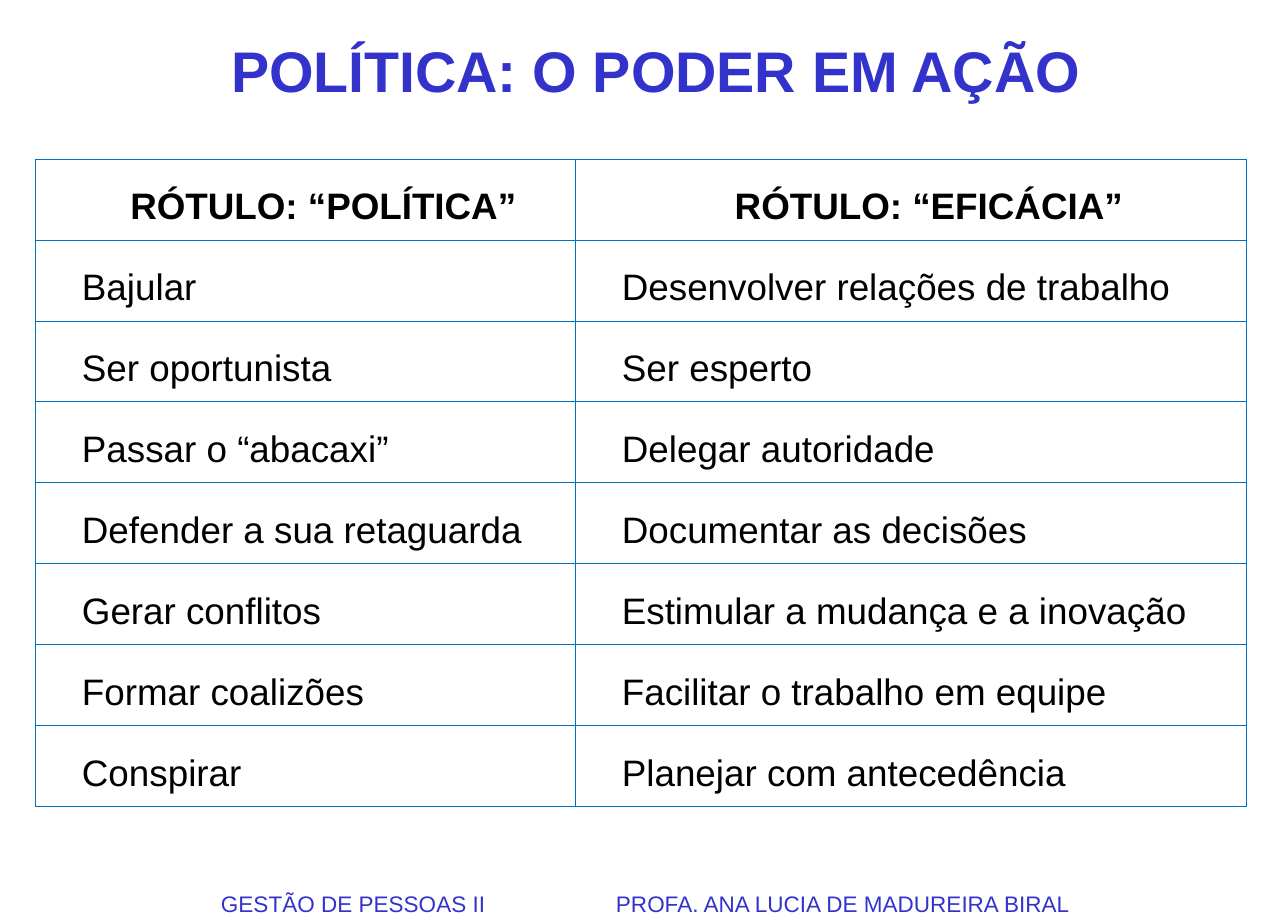
"""Build the slide that contrasts the labels "política" and "eficácia"."""
from lxml import etree
from pptx import Presentation
from pptx.dml.color import RGBColor
from pptx.enum.text import MSO_AUTO_SIZE, PP_ALIGN
from pptx.oxml.ns import qn
from pptx.util import Pt

TITLE = "POLÍTICA: O PODER EM AÇÃO"
LABELS = [
    ("RÓTULO: “POLÍTICA”", "RÓTULO: “EFICÁCIA”"),
    ("Bajular", "Desenvolver relações de trabalho"),
    ("Ser oportunista", "Ser esperto"),
    ("Passar o “abacaxi”", "Delegar autoridade"),
    ("Defender a sua retaguarda", "Documentar as decisões"),
    ("Gerar conflitos", "Estimular a mudança e a inovação"),
    ("Formar coalizões", "Facilitar o trabalho em equipe"),
    ("Conspirar", "Planejar com antecedência"),
]
FOOTER = ("GESTÃO DE PESSOAS II", "PROFA. ANA LUCIA DE MADUREIRA BIRAL")

CENTER, JUSTIFY, LEFT = PP_ALIGN.CENTER, PP_ALIGN.JUSTIFY, PP_ALIGN.LEFT
FIT_SHAPE = MSO_AUTO_SIZE.SHAPE_TO_FIT_TEXT
VIOLET = RGBColor(0x33, 0x33, 0xCC)
BLACK = RGBColor(0, 0, 0)
BORDER_BLUE = RGBColor(0x00, 0x70, 0xC0)
BORDER_WIDTH = Pt(0.45)

EMU_PER_INCH, PX_PER_INCH = 914400, 147.2
SLIDE_SIZE = (1288, 920)
TITLE_AREA = (57, 43, 1197, 69)
FOOTER_AREA = (206, 889, 886, 37)
FOOTER_TAB = 395
TABLE_LEFT, TABLE_TOP = 35, 159
COLUMN_WIDTHS = (540, 671)
ROW_HEIGHT = 81
CELL_INDENT = 37
BOX_MARGINS = {"margin_left": 15, "margin_right": 15, "margin_top": 7, "margin_bottom": 7}
CELL_MARGINS = {"margin_left": 10, "margin_right": 10, "margin_top": 7, "margin_bottom": 7}


def px(length):
    return round(length * EMU_PER_INCH / PX_PER_INCH)


def set_all(target, values):
    for name, value in values.items():
        setattr(target, name, value)


def set_margins(target, margins):
    set_all(target, {side: px(length) for side, length in margins.items()})


def write(paragraph, text, align, spacing, size, color, bold=False):
    set_all(paragraph, {"text": text, "alignment": align, "line_spacing": spacing})
    for run in paragraph.runs:
        set_all(run.font, {"name": "Arial", "size": Pt(size), "bold": bold})
        run.font.color.rgb = color


def add_text(slide, area, text, align, size, bold=False, tab=None):
    frame = slide.shapes.add_textbox(*map(px, area)).text_frame
    set_all(frame, {"word_wrap": True, "auto_size": FIT_SHAPE})
    set_margins(frame, BOX_MARGINS)
    paragraph = frame.paragraphs[0]
    if tab:
        stops = etree.SubElement(paragraph._p.get_or_add_pPr(), qn("a:tabLst"))
        etree.SubElement(stops, qn("a:tab"), pos=str(px(tab)), algn="l")
    write(paragraph, text, align, 0.78, size, VIOLET, bold)


def add_borders(cell):
    properties = cell._tc.get_or_add_tcPr()
    for side in ("a:lnL", "a:lnR", "a:lnT", "a:lnB"):
        line = etree.SubElement(properties, qn(side), w=str(BORDER_WIDTH))
        fill = etree.SubElement(line, qn("a:solidFill"))
        etree.SubElement(fill, qn("a:srgbClr"), val=str(BORDER_BLUE))


def add_label_table(slide):
    area = (TABLE_LEFT, TABLE_TOP, sum(COLUMN_WIDTHS), ROW_HEIGHT * len(LABELS))
    table = slide.shapes.add_table(len(LABELS), len(COLUMN_WIDTHS), *map(px, area)).table
    set_all(table, {"first_row": False, "horz_banding": False})
    for column, width in zip(table.columns, COLUMN_WIDTHS):
        column.width = px(width)
    for row_index, labels in enumerate(LABELS):
        table.rows[row_index].height = px(ROW_HEIGHT)
        is_header = row_index == 0
        for column_index, label in enumerate(labels):
            cell = table.cell(row_index, column_index)
            set_margins(cell, CELL_MARGINS)
            add_borders(cell)
            cell.fill.background()
            paragraph = cell.text_frame.paragraphs[0]
            paragraph._p.get_or_add_pPr().set("marL", str(px(CELL_INDENT)))
            write(paragraph, label, CENTER if is_header else JUSTIFY, 1.5, 18, BLACK, is_header)


def main():
    presentation = Presentation()
    presentation.slide_width, presentation.slide_height = map(px, SLIDE_SIZE)
    slide = presentation.slides.add_slide(presentation.slide_layouts[6])
    add_text(slide, TITLE_AREA, TITLE, CENTER, 28, bold=True)
    add_label_table(slide)
    add_text(slide, FOOTER_AREA, "\t".join(FOOTER), LEFT, 11, tab=FOOTER_TAB)
    presentation.save("out.pptx")


if __name__ == "__main__":
    main()
